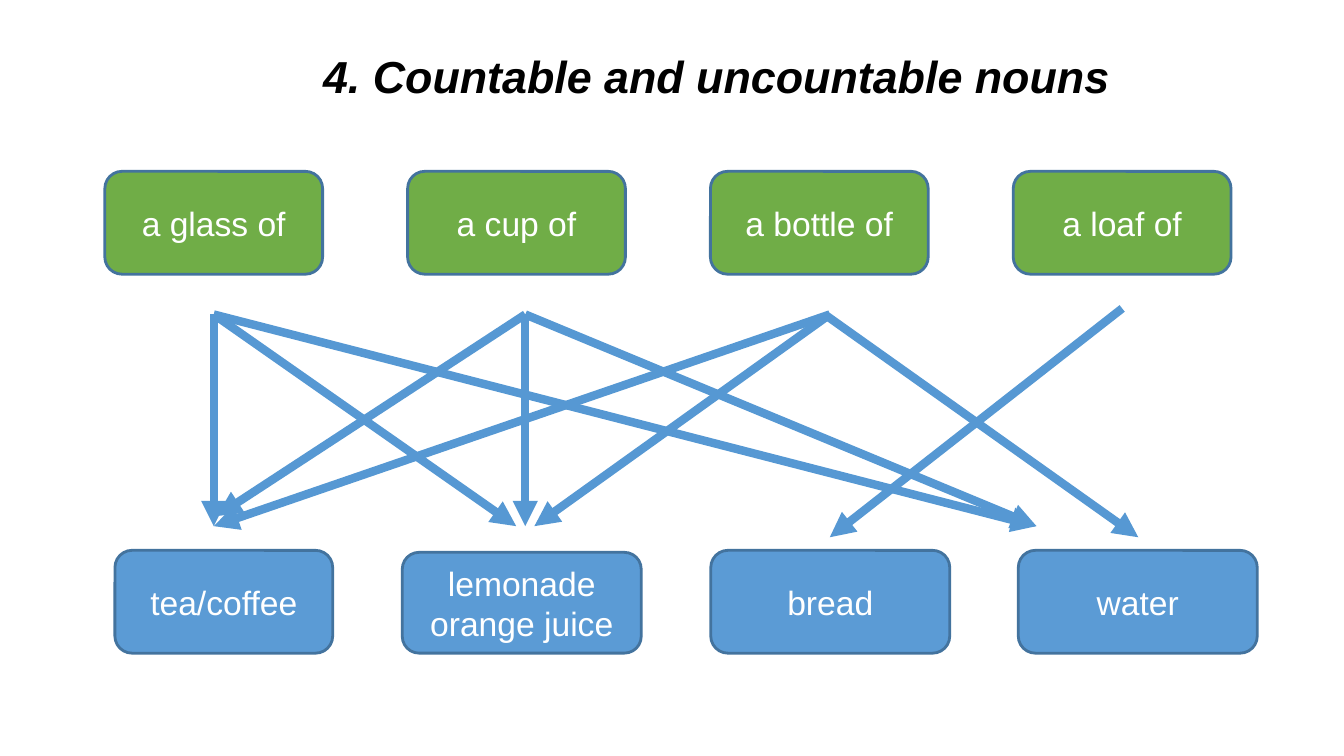
"""Build a slide matching measure phrases to uncountable nouns."""
from lxml import etree
from pptx import Presentation
from pptx import util as u
from pptx.dml import color
from pptx.enum import shapes, text
from pptx.oxml import ns

TITLE = "4. Countable and uncountable nouns"
TITLE_BOX = (2.15, -1.54, 9.92, 2.61)
TITLE_FONT = {"size": u.Pt(32), "name": "Arial", "bold": True, "italic": True}
LABEL_FONT = {"size": u.Pt(24), "name": "Arial"}

MEASURES = ["a glass of", "a cup of", "a bottle of", "a loaf of"]
MEASURE_LEFT, MEASURE_TOP, MEASURE_STEP = 1.04, 1.7, 3.0033
MEASURE_SIZE = (2.16, 1.02)
NOUNS = [
    ("tea/coffee", (1.14, 5.46, 2.16, 1.02)),
    ("lemonade\norange juice", (3.99, 5.48, 2.37, 1)),
    ("bread", (7.05, 5.46, 2.37, 1.02)),
    ("water", (10.1, 5.46, 2.37, 1.02)),
]
ARROWS = [
    ((2.12, 3.12), [(2.12, 5.22), (5.12, 5.22), (10.28, 5.22)]),
    ((5.21, 3.12), [(2.15, 5.12), (5.21, 5.22), (10.28, 5.22)]),
    ((8.23, 3.12), [(2.12, 5.22), (5.3, 5.22)]),
    ((8.18, 3.12), [(11.29, 5.33)]),
    ((11.13, 3.06), [(8.23, 5.33)]),
]
GREEN, BLUE, OUTLINE, ARROW = "70AD47", "5B9BD5", "43739E", "5698D3"
BLACK, WHITE = "000000", "FFFFFF"


def paint(target, hex_color):
    target.rgb = color.RGBColor.from_string(hex_color)


def inches(values):
    return [u.Inches(value) for value in values]


def write(shape, content, font_values, hex_color, anchor, spacing=None):
    frame = shape.text_frame
    frame.word_wrap = True
    frame.vertical_anchor = anchor
    frame.text = content
    for paragraph in frame.paragraphs:
        paragraph.alignment = text.PP_ALIGN.CENTER
        paragraph.line_spacing = spacing
        for run in paragraph.runs:
            for name, value in font_values.items():
                setattr(run.font, name, value)
            paint(run.font.color, hex_color)


def add_card(slide, label, box, fill):
    shape = slide.shapes.add_shape(
        shapes.MSO_SHAPE.ROUNDED_RECTANGLE, *inches(box))
    shape.shadow.inherit = False
    shape.fill.solid()
    paint(shape.fill.fore_color, fill)
    paint(shape.line.color, OUTLINE)
    shape.line.width = u.Pt(2)
    write(shape, label, LABEL_FONT, WHITE, text.MSO_ANCHOR.MIDDLE)


def add_arrow(slide, start, end):
    connector = slide.shapes.add_connector(
        shapes.MSO_CONNECTOR.STRAIGHT, *inches(start + end))
    paint(connector.line.color, ARROW)
    connector.line.width = u.Pt(6)
    properties = connector._element.spPr
    line = properties.find(ns.qn("a:ln"))
    etree.SubElement(line, ns.qn("a:tailEnd"), type="triangle")
    etree.SubElement(properties, ns.qn("a:effectLst"))


def main():
    presentation = Presentation()
    presentation.slide_width = u.Inches(13.33)
    presentation.slide_height = u.Inches(7.5)
    slide = presentation.slides.add_slide(presentation.slide_layouts[6])

    title = slide.shapes.add_textbox(*inches(TITLE_BOX))
    write(title, TITLE, TITLE_FONT, BLACK, text.MSO_ANCHOR.BOTTOM, 0.9)

    for label, box in NOUNS:
        add_card(slide, label, box, BLUE)
    for column, label in enumerate(MEASURES):
        left = MEASURE_LEFT + column * MEASURE_STEP
        add_card(slide, label, (left, MEASURE_TOP, *MEASURE_SIZE), GREEN)
    for start, ends in ARROWS:
        for end in ends:
            add_arrow(slide, start, end)

    presentation.save("out.pptx")


if __name__ == "__main__":
    main()
